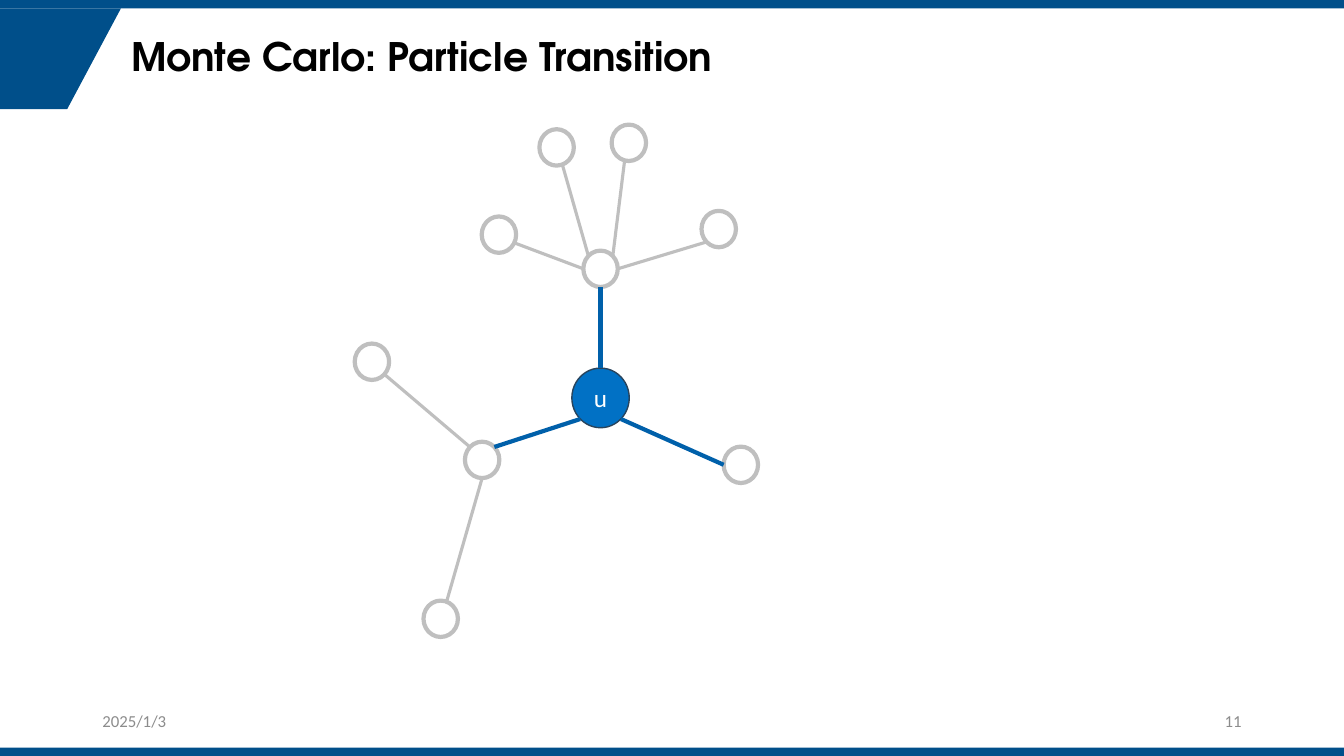
"""Build the Monte Carlo particle transition slide."""
from lxml import etree
from pptx import Presentation
from pptx.dml.color import RGBColor
from pptx.enum.shapes import MSO_CONNECTOR, MSO_SHAPE
from pptx.enum.text import MSO_ANCHOR, MSO_AUTO_SIZE, PP_ALIGN
from pptx.oxml.ns import qn
from pptx.util import Pt

RECTANGLE, OVAL = MSO_SHAPE.RECTANGLE, MSO_SHAPE.OVAL
STRAIGHT = MSO_CONNECTOR.STRAIGHT
LEFT, CENTER, RIGHT = PP_ALIGN.LEFT, PP_ALIGN.CENTER, PP_ALIGN.RIGHT
MIDDLE = MSO_ANCHOR.MIDDLE
NO_AUTOFIT = MSO_AUTO_SIZE.NONE

NAVY = RGBColor(0x00, 0x4F, 0x8A)
BLUE = RGBColor(0x01, 0x71, 0xC5)
EDGE_BLUE = RGBColor(0x00, 0x60, 0xAA)
OUTLINE = RGBColor(0x28, 0x44, 0x5D)
GRAY = RGBColor(0xBF, 0xBF, 0xBF)
FOOTER_GRAY = RGBColor(0x8C, 0x8C, 0x8C)
WHITE = RGBColor(0xFF, 0xFF, 0xFF)
BLACK = RGBColor(0x00, 0x00, 0x00)

SLIDE_WIDTH, SLIDE_HEIGHT, BAR_HEIGHT = 960, 540, 6
CORNER = [(0, 6), (86.4, 6), (48, 78), (0, 78)]
TITLE = "Monte Carlo: Particle Transition"
TITLE_BOX = (86.4, 6, 808, 72)
FOOTERS = [("2025/1/3", 66, LEFT), ("11", 678, RIGHT)]

SOURCE_SIZE = (41, 42.6)
NODE_SIZE = (24.6, 26)
SOURCE = {"u": (429, 284.2)}
NEIGHBORS = {"west": (344.4, 328.5), "north": (429, 192), "east": (529.2, 332)}
LEAVES = {
    "west low": (314.8, 442),
    "west high": (265.7, 258.4),
    "north inner right": (449.2, 102),
    "north outer right": (513.4, 163.6),
    "north inner left": (397.6, 105.3),
    "north outer left": (356.4, 167.6),
}
CENTERS = SOURCE | NEIGHBORS | LEAVES

TOP, BOTTOM, WEST, EAST = (0, -1), (0, 1), (-1, 0), (1, 0)
NORTHWEST, NORTHEAST = (-0.71, -0.71), (0.71, -0.71)
SOUTHWEST, SOUTHEAST = (-0.71, 0.71), (0.71, 0.71)
MOVES = [
    ("u", TOP, "north", BOTTOM),
    ("u", SOUTHEAST, "east", WEST),
    ("u", SOUTHWEST, "west", NORTHEAST),
]
LINKS = [
    ("west high", (0.55, 0.55), "west", NORTHWEST),
    ("west low", (0.3, -0.8), "west", BOTTOM),
    ("north", EAST, "north outer right", SOUTHWEST),
    ("north outer left", (0.75, 0.4), "north", WEST),
    ("north", NORTHEAST, "north inner right", (-0.25, 1)),
    ("north", NORTHWEST, "north inner left", (0.35, 1)),
]


def style_text(shape, text, font_name, size, color, alignment, bold=False):
    frame = shape.text_frame
    frame.text = text
    frame.word_wrap = True
    frame.auto_size = NO_AUTOFIT
    frame.vertical_anchor = MIDDLE
    paragraph = frame.paragraphs[0]
    paragraph.alignment = alignment
    font = paragraph.runs[0].font
    font.name, font.size, font.bold = font_name, Pt(size), bold
    font.color.rgb = color
    return paragraph


def paint(shape, fill, line=None, line_width=0):
    shape.shadow.inherit = False
    shape.fill.solid()
    shape.fill.fore_color.rgb = fill
    if line is None:
        shape.line.fill.background()
    else:
        shape.line.color.rgb = line
        shape.line.width = Pt(line_width)


def add_node(slide, center, size, fill, line, line_width):
    left, top = (c - s / 2 for c, s in zip(center, size))
    node = slide.shapes.add_shape(OVAL, *map(Pt, (left, top, *size)))
    paint(node, fill, line, line_width)
    return node


def rim_point(name, direction):
    size = SOURCE_SIZE if name in SOURCE else NODE_SIZE
    return [Pt(c + d * s / 2) for c, d, s in zip(CENTERS[name], direction, size)]


def add_edges(slide, edges, color, width):
    for start, start_side, end, end_side in edges:
        edge = slide.shapes.add_connector(
            STRAIGHT, *rim_point(start, start_side), *rim_point(end, end_side))
        edge.line.color.rgb = color
        edge.line.width = Pt(width)
        etree.SubElement(edge._element.spPr, qn("a:effectLst"))


def add_frame(slide):
    builder = slide.shapes.build_freeform(*map(Pt, CORNER[0]))
    builder.add_line_segments([(Pt(x), Pt(y)) for x, y in CORNER[1:]], close=True)
    paint(builder.convert_to_shape(), NAVY)
    for top in (0, SLIDE_HEIGHT - BAR_HEIGHT):
        bar = slide.shapes.add_shape(
            RECTANGLE, 0, Pt(top), Pt(SLIDE_WIDTH), Pt(BAR_HEIGHT))
        paint(bar, NAVY)
    title = slide.shapes.title
    title.left, title.top, title.width, title.height = map(Pt, TITLE_BOX)
    paragraph = style_text(title, TITLE, "TeX Gyre Adventor", 28, BLACK, LEFT, True)
    paragraph.line_spacing = 0.9
    for text, left, alignment in FOOTERS:
        box = slide.shapes.add_textbox(*map(Pt, (left, 500.5, 216, 28.8)))
        style_text(box, text, "Calibri", 12, FOOTER_GRAY, alignment)


def add_graph(slide):
    for name, center in SOURCE.items():
        node = add_node(slide, center, SOURCE_SIZE, BLUE, OUTLINE, 1)
        style_text(node, name, "Calibri", 18, WHITE, CENTER)
    for center in NEIGHBORS.values():
        add_node(slide, center, NODE_SIZE, WHITE, GRAY, 3)
    add_edges(slide, MOVES, EDGE_BLUE, 3)
    add_edges(slide, LINKS, GRAY, 2.25)
    for center in LEAVES.values():
        add_node(slide, center, NODE_SIZE, WHITE, GRAY, 3)


def main():
    presentation = Presentation()
    presentation.slide_width = Pt(SLIDE_WIDTH)
    presentation.slide_height = Pt(SLIDE_HEIGHT)
    slide = presentation.slides.add_slide(presentation.slide_layouts[5])
    add_frame(slide)
    add_graph(slide)
    presentation.save("out.pptx")


if __name__ == "__main__":
    main()
